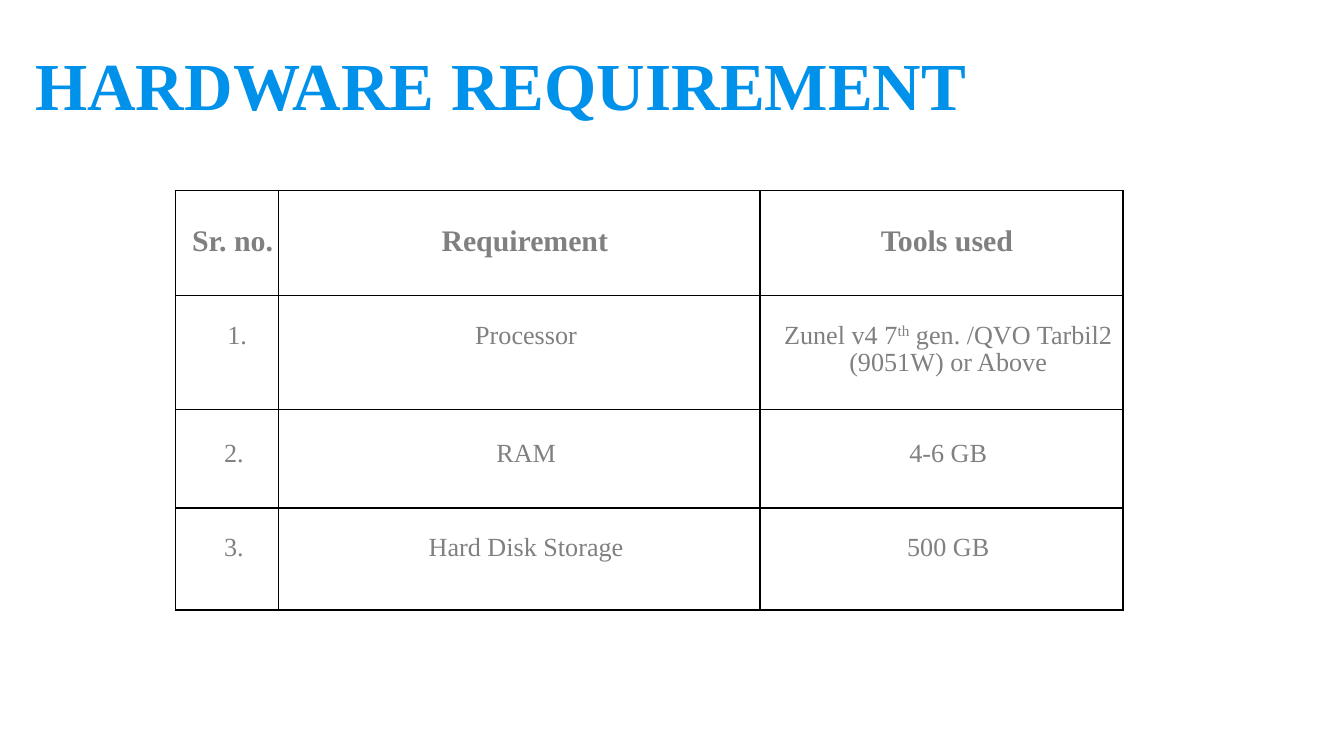
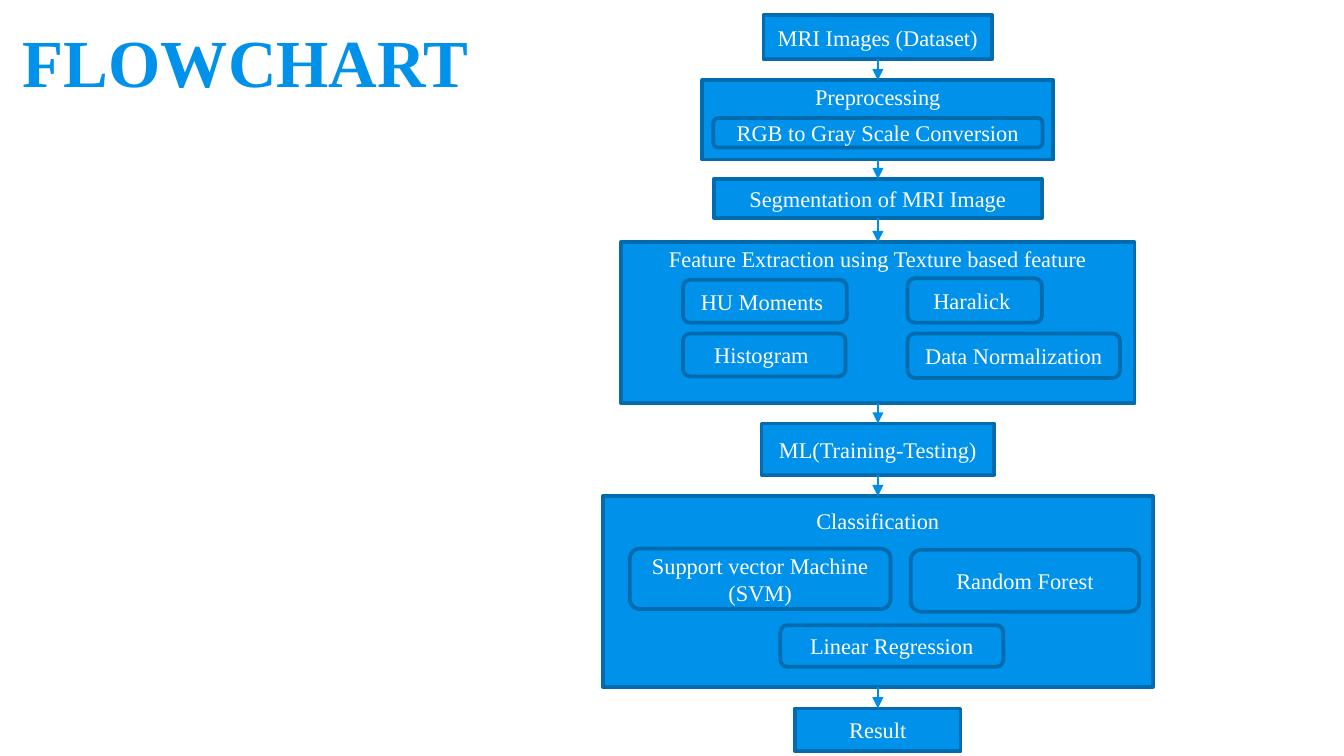
from itertools import pairwise

from lxml.etree import SubElement
from pptx import Presentation
from pptx.dml.color import RGBColor
from pptx.enum.shapes import MSO_CONNECTOR, MSO_SHAPE
from pptx.enum.text import MSO_ANCHOR, PP_ALIGN
from pptx.oxml.ns import qn
from pptx.util import Pt

BLUE = RGBColor(0x00, 0x91, 0xEA)
DARK_BLUE = RGBColor(0x00, 0x6B, 0xAD)
ARROW_BLUE = RGBColor(0x00, 0x8E, 0xE5)
GRAY = RGBColor(0x80, 0x80, 0x80)
WHITE = RGBColor(0xFF, 0xFF, 0xFF)
BLACK = RGBColor(0x00, 0x00, 0x00)
FONT = "Times New Roman"

COLUMN_WIDTHS = (55.4, 257.8, 194.4)
REQUIREMENTS = [
    (56.2, ("Sr. no.", "Requirement", "Tools used"),
     dict(size=16, bold=True), 18, 5.8),
    (61.2, (" 1.", "Processor", "Zunel v4 7^th^ gen. /QVO Tarbil2\n(9051W) or Above"),
     dict(size=14, spacing=14.6), 14.6, 7.2),
    (52.6, ("2.", "RAM", "4-6 GB"), dict(size=14), 15.5, 7.2),
    (54.7, ("3.", "Hard Disk Storage", "500 GB"),
     dict(size=14, spacing=14.6), 14.6, 7.2),
]

STEPS = [
    ("MRI Images (Dataset)", 0, 122.4, 23.8, 3.6, []),
    ("Preprocessing", 35, 188, 42.5, 28.8, [
        ("RGB to Gray Scale Conversion", 5.8, 20.2, 176.4, 15.8),
    ]),
    ("Segmentation of MRI Image", 87.9, 175.7, 20.9, 3.6, []),
    ("Feature Extraction using Texture based feature", 121.7, 275, 86.4, 72, [
        ("HU Moments ", 33.1, 20.2, 87.8, 23),
        ("Haralick ", 153.4, 19.4, 72, 23.8),
        ("Histogram ", 33.1, 49, 87.1, 23),
        ("Data Normalization", 153.4, 49, 113.8, 23.8),
    ]),
    ("ML(Training-Testing)", 218.9, 124.6, 27.4, 3.6, []),
    ("Classification", 257.8, 294.5, 102.2, 79.2, [
        ("Support vector Machine (SVM)", 14.4, 28.1, 139.7, 32.4),
        ("Random Forest", 164.9, 28.8, 122.4, 33.1),
        ("Linear Regression", 95, 69.1, 119.5, 22.3),
    ]),
    ("Result", 371.5, 88.6, 23, 3.6, []),
]


def write_text(frame, text, *, size, color, bold=False,
               align=PP_ALIGN.CENTER, spacing=None):
    """Write lines as paragraphs, raising what stands between carets."""
    frame.word_wrap = True
    for row, line in enumerate(text.split("\n")):
        paragraph = frame.add_paragraph() if row else frame.paragraphs[0]
        paragraph.alignment = align
        if spacing:
            paragraph.line_spacing = Pt(spacing)
        for index, part in enumerate(line.split("^")):
            run = paragraph.add_run()
            run.text = part
            run.font.name = FONT
            run.font.size = Pt(size)
            run.font.bold = bold
            run.font.color.rgb = color
            if index % 2:
                run.font._element.set("baseline", "30000")


def add_title(slide, text, box):
    """Place a slide title at the bottom of its box."""
    title = slide.shapes.add_textbox(*map(Pt, box))
    frame = title.text_frame
    frame.vertical_anchor = MSO_ANCHOR.BOTTOM
    frame.margin_top = frame.margin_bottom = Pt(7.2)
    write_text(frame, text, size=36, color=BLUE, bold=True, align=PP_ALIGN.LEFT)


def add_borders(cell):
    """Rule all four sides of a cell."""
    properties = cell._tc.get_or_add_tcPr()
    for side in ("a:lnL", "a:lnR", "a:lnT", "a:lnB"):
        border = SubElement(properties, qn(side), w=str(Pt(0.75)))
        fill = SubElement(border, qn("a:solidFill"))
        SubElement(fill, qn("a:srgbClr"), val=str(BLACK))


def add_requirements(slide, left, top):
    """Build the requirement table from its top left corner."""
    height = sum(row[0] for row in REQUIREMENTS)
    table = slide.shapes.add_table(
        len(REQUIREMENTS), len(COLUMN_WIDTHS),
        Pt(left), Pt(top), Pt(sum(COLUMN_WIDTHS)), Pt(height)).table
    table.first_row = table.horz_banding = False
    for column, width in zip(table.columns, COLUMN_WIDTHS):
        column.width = Pt(width)
    for row, (height, texts, style, inset_top, inset_left) in zip(table.rows, REQUIREMENTS):
        row.height = Pt(height)
        for cell, text in zip(row.cells, texts):
            cell.margin_left, cell.margin_top = Pt(inset_left), Pt(inset_top)
            cell.margin_right = cell.margin_bottom = 0
            add_borders(cell)
            cell.fill.background()
            write_text(cell.text_frame, text, color=GRAY, **style)


def add_block(slide, preset, text, box, inset_bottom=3.6):
    """Draw one labelled block of the flowchart."""
    block = slide.shapes.add_shape(preset, *map(Pt, box))
    block.shadow.inherit = False
    block.fill.solid()
    block.fill.fore_color.rgb = BLUE
    block.line.color.rgb = DARK_BLUE
    block.line.width = Pt(2)
    block.text_frame.vertical_anchor = MSO_ANCHOR.MIDDLE
    block.text_frame.margin_bottom = Pt(inset_bottom)
    write_text(block.text_frame, text, size=12, color=WHITE)


def add_arrow(slide, x, start, end):
    """Draw a downward arrow between two steps."""
    arrow = slide.shapes.add_connector(
        MSO_CONNECTOR.STRAIGHT, Pt(x), Pt(start), Pt(x), Pt(end))
    arrow.line.color.rgb = ARROW_BLUE
    arrow.line.width = Pt(0.75)
    properties = arrow._element.spPr
    SubElement(properties.find(qn("a:ln")), qn("a:tailEnd"), type="triangle")
    SubElement(properties, qn("a:effectLst"))


def add_flowchart(slide, center, top):
    """Stack the steps around a centre line and join them with arrows."""
    for label, offset, width, height, inset_bottom, parts in STEPS:
        step_left, step_top = center - width / 2, top + offset
        add_block(slide, MSO_SHAPE.RECTANGLE, label,
                  (step_left, step_top, width, height), inset_bottom)
        for name, x, y, part_width, part_height in parts:
            add_block(slide, MSO_SHAPE.ROUNDED_RECTANGLE, name,
                      (step_left + x, step_top + y, part_width, part_height))
    for step, following in pairwise(STEPS):
        add_arrow(slide, center, top + step[1] + step[3], top + following[1])


def main():
    """Build both slides and save them."""
    deck = Presentation()
    deck.slide_width, deck.slide_height = Pt(720), Pt(405)
    blank = deck.slide_layouts[6]

    hardware = deck.slides.add_slide(blank)
    add_title(hardware, "HARDWARE REQUIREMENT", (11.8, 11.5, 545.8, 61.9))
    add_requirements(hardware, 94, 102.2)

    flow = deck.slides.add_slide(blank)
    add_title(flow, "FLOWCHART", (5.2, 5.8, 459.4, 55.4))
    add_flowchart(flow, 470.3, 8)

    deck.save("out.pptx")


if __name__ == "__main__":
    main()
